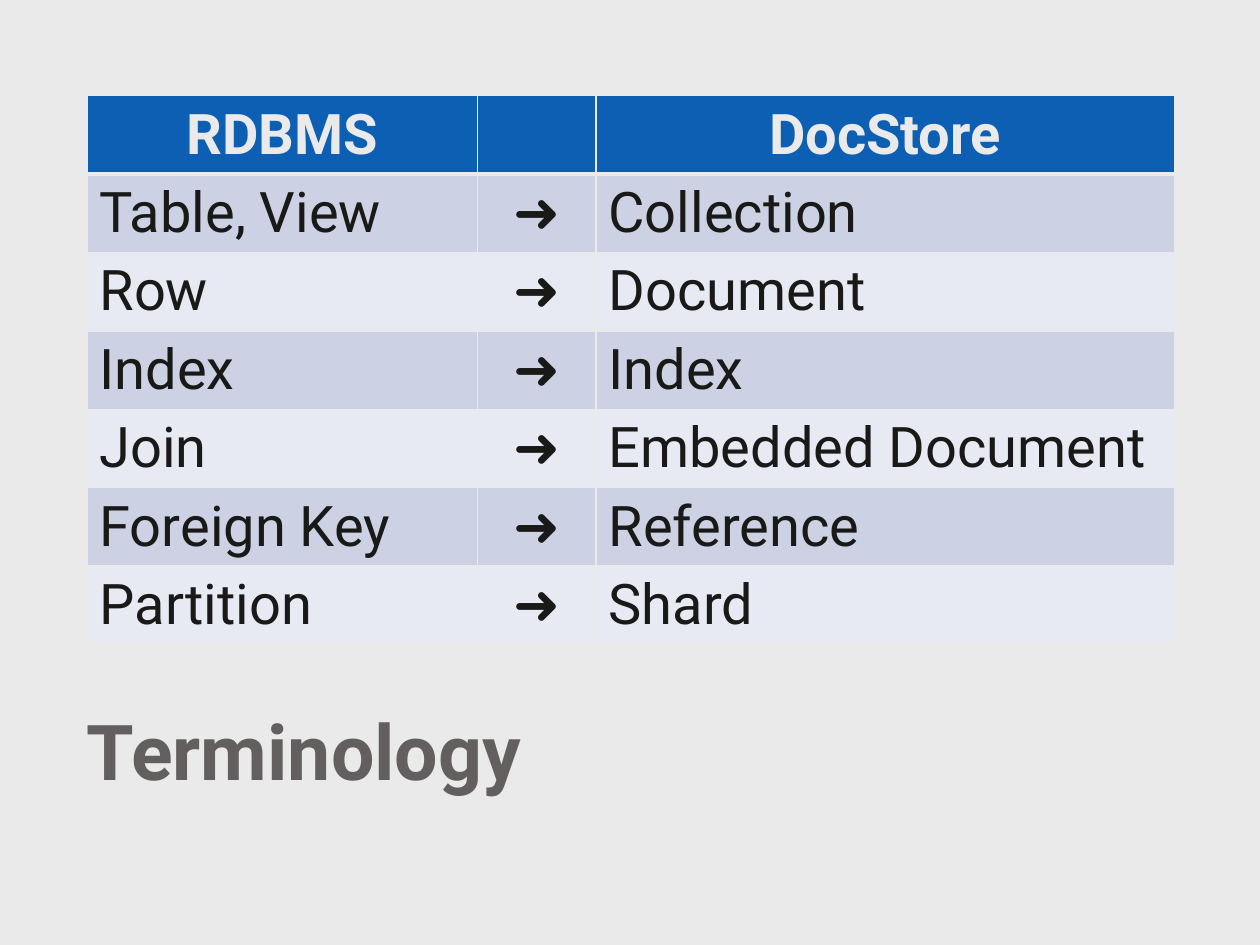
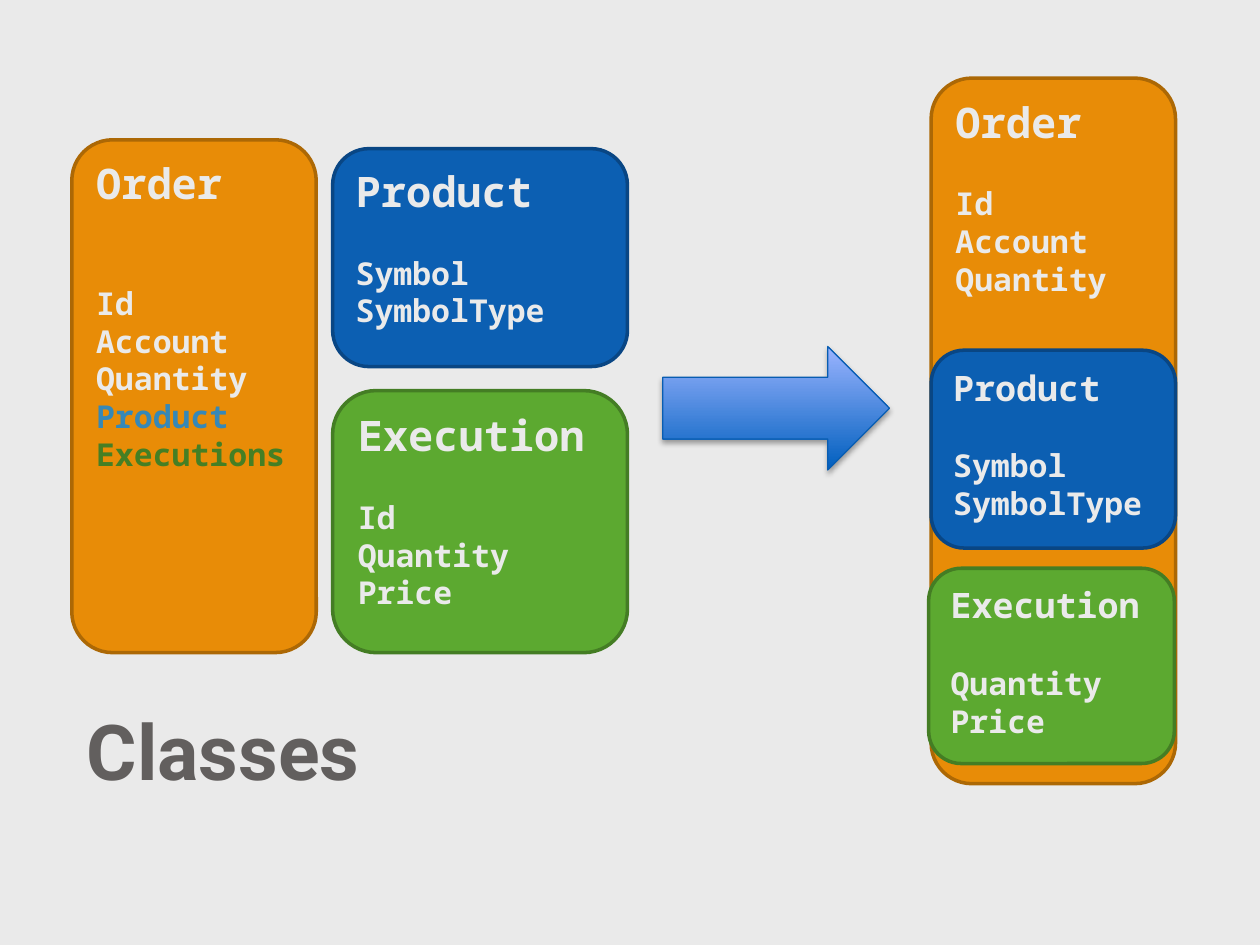
"""Build the terminology table and the class-embedding slide."""
from dataclasses import dataclass, field
from typing import Any

from lxml.etree import SubElement
from pptx import Presentation
from pptx.dml.color import RGBColor
from pptx.enum.shapes import MSO_SHAPE as Preset
from pptx.enum.text import MSO_ANCHOR as Anchor, MSO_AUTO_SIZE as AutoSize, PP_ALIGN as Align
from pptx.oxml.ns import qn
from pptx.util import Inches, Pt

COLOURS = {
    "paper": "EAEAEA", "title": "625F5E", "ink": "191918",
    "orange": "E88C07", "orange_edge": "AC6805",
    "blue": "0C5FB2", "blue_edge": "094684",
    "green": "5CA930", "green_edge": "447D24",
    "product_link": "3688B7", "execution_link": "457F24",
    "band_odd": "CCD2E4", "band_even": "E7EAF2",
    "arrow_low": "005FBE", "arrow_high": "9BB4FF", "arrow_edge": "085DB2",
    "shadow": "000000",
}
SANS, MONO = "Roboto", "Noto Sans Mono"
GRID_COLUMNS = 100
MONO_LINE = 21.6

TERMS = [
    ("Table, View", "Collection"),
    ("Row", "Document"),
    ("Index", "Index"),
    ("Join", "Embedded Document"),
    ("Foreign Key", "Reference"),
    ("Partition", "Shard"),
]
TABLE_ROWS = [("RDBMS", "", "DocStore")] + [(old, "➜", new) for old, new in TERMS]
TABLE_COLUMNS = (31, 9.4, 45.9)
TABLE_ROW = 6.2


@dataclass(frozen=True)
class Box:
    """A place on the slide, in grid units."""
    left: float
    top: float
    width: float
    height: float


@dataclass(frozen=True)
class ClassCard:
    """A class with its name and its fields."""
    name: str
    fields: tuple[str, ...]
    colour: str
    box: Box
    name_size: int = 24
    gap_lines: int = 1
    field_colours: dict[str, str] = field(default_factory=dict)


TITLE_BOX = Box(6.9, 55.3, 86.4, 9.3)
TABLE_BOX = Box(6.9, 7.6, sum(TABLE_COLUMNS), TABLE_ROW * len(TABLE_ROWS))
ARROW_BOX = Box(52.6, 27.5, 18, 9.8)
ORDER_FIELDS = ("Id", "Account", "Quantity")
SYMBOL_FIELDS = ("Symbol", "SymbolType")
CARDS = [
    ClassCard("Order", ORDER_FIELDS + ("Product", "Executions"), "orange",
              Box(5.7, 11.1, 19.4, 40.7), gap_lines=2,
              field_colours={"Product": "product_link", "Executions": "execution_link"}),
    ClassCard("Product", SYMBOL_FIELDS, "blue", Box(26.4, 11.8, 23.4, 17.3)),
    ClassCard("Execution", ("Id", "Quantity", "Price"), "green", Box(26.4, 31, 23.4, 20.8)),
    ClassCard("Order", ORDER_FIELDS, "orange", Box(73.9, 6.2, 19.4, 56)),
    ClassCard("Product", SYMBOL_FIELDS, "blue", Box(73.9, 27.8, 19.4, 15.7), 20),
    ClassCard("Execution", ("Quantity", "Price"), "green", Box(73.7, 45.1, 19.5, 15.5), 20),
]


def colour(name: str) -> RGBColor:
    """Look up a named colour."""
    return RGBColor.from_string(COLOURS[name])


def units(amount: float) -> int:
    """Turn grid units into a length."""
    return round(Inches(10) * amount / GRID_COLUMNS)


def place(box: Box) -> list[int]:
    """Return left, top, width and height as lengths."""
    return [units(side) for side in (box.left, box.top, box.width, box.height)]


def apply(target: Any, values: dict[str, Any]) -> None:
    """Set every named attribute of an object."""
    for name, value in values.items():
        setattr(target, name, value)


def fill_solid(fill: Any, name: str) -> None:
    """Give a fill one colour."""
    fill.solid()
    fill.fore_color.rgb = colour(name)


def write(paragraph: Any, text: str, font: str, size: int, ink: str, bold: bool = True,
          **layout: Any) -> None:
    """Write one formatted run in a paragraph."""
    apply(paragraph, layout)
    if text:
        run = paragraph.add_run()
        run.text = text
        apply(run.font, {"name": font, "size": Pt(size), "bold": bold})
        run.font.color.rgb = colour(ink)


def add_titled_slide(presentation: Any, text: str) -> Any:
    """Add a slide with the shared title style."""
    slide = presentation.slides.add_slide(presentation.slide_layouts[5])
    title = slide.shapes.title
    apply(title, dict(zip(("left", "top", "width", "height"), place(TITLE_BOX))))
    apply(title.text_frame, {
        "margin_left": 0, "margin_top": 0, "margin_right": 0, "margin_bottom": 0,
        "vertical_anchor": Anchor.MIDDLE, "word_wrap": True, "auto_size": AutoSize.NONE,
    })
    write(title.text_frame.paragraphs[0], text, SANS, 44, "title",
          alignment=Align.LEFT, line_spacing=0.9)
    return slide


def add_border(cell: Any, side: str, width: float) -> None:
    """Draw one cell edge in the paper colour."""
    properties = cell._tc.get_or_add_tcPr()
    edge = SubElement(properties, qn(f"a:ln{side}"), w=str(Pt(width)))
    solid = SubElement(edge, qn("a:solidFill"))
    SubElement(solid, qn("a:srgbClr"), val=COLOURS["paper"])


def add_terms_table(slide: Any) -> None:
    """Add the banded table of matching terms."""
    table = slide.shapes.add_table(
        len(TABLE_ROWS), len(TABLE_COLUMNS), *place(TABLE_BOX)).table
    for column, width in zip(table.columns, TABLE_COLUMNS):
        column.width = units(width)
    for row_index, texts in enumerate(TABLE_ROWS):
        table.rows[row_index].height = units(TABLE_ROW)
        is_header = row_index == 0
        band = "blue" if is_header else ("band_even", "band_odd")[row_index % 2]
        widths = {"L": 1, "R": 1, "T": 3 if row_index == 1 else 1, "B": 3 if is_header else 1}
        for column_index, text in enumerate(texts):
            cell = table.cell(row_index, column_index)
            for side, width in widths.items():
                add_border(cell, side, width)
            fill_solid(cell.fill, band)
            is_centred = is_header or column_index == 1
            write(cell.text_frame.paragraphs[0], text, SANS, 32,
                  "paper" if is_header else "ink", is_header,
                  alignment=Align.CENTER if is_centred else Align.LEFT)


def add_preset(slide: Any, preset: Any, box: Box, edge: str, width: float) -> Any:
    """Add a preset shape with an outline and no shadow."""
    shape = slide.shapes.add_shape(preset, *place(box))
    shape.shadow.inherit = False
    shape.line.color.rgb = colour(edge)
    shape.line.width = Pt(width)
    return shape


def add_card(slide: Any, card: ClassCard) -> None:
    """Add a rounded card that lists the fields of a class."""
    shape = add_preset(slide, Preset.ROUNDED_RECTANGLE, card.box, f"{card.colour}_edge", 2)
    fill_solid(shape.fill, card.colour)
    frame = shape.text_frame
    apply(frame, {"word_wrap": True, "vertical_anchor": Anchor.TOP})
    write(frame.paragraphs[0], card.name, MONO, card.name_size, "paper", alignment=Align.LEFT)
    for index, name in enumerate(card.fields):
        gap = 0 if index else MONO_LINE * card.gap_lines
        write(frame.add_paragraph(), name, MONO, 18, card.field_colours.get(name, "paper"),
              alignment=Align.LEFT, space_before=Pt(gap))


def add_arrow(slide: Any) -> None:
    """Add the shaded arrow between the two class models."""
    shape = add_preset(slide, Preset.RIGHT_ARROW, ARROW_BOX, "arrow_edge", 0.75)
    shape.fill.gradient()
    shape.fill.gradient_angle = 90
    for stop, position, name in zip(shape.fill.gradient_stops, (0, 1), ("arrow_low", "arrow_high")):
        stop.position = position
        stop.color.rgb = colour(name)
    effects = shape._element.spPr.find(qn("a:effectLst"))
    shadow = SubElement(effects, qn("a:outerShdw"), blurRad=str(Pt(3.1)), dist=str(Pt(1.8)),
                        dir="5400000", rotWithShape="0")
    tint = SubElement(shadow, qn("a:srgbClr"), val=COLOURS["shadow"])
    SubElement(tint, qn("a:alpha"), val="35000")


def main() -> None:
    """Build and save the presentation."""
    presentation = Presentation()
    apply(presentation, {"slide_width": Inches(10), "slide_height": Inches(7.5)})
    fill_solid(presentation.slide_master.background.fill, "paper")
    add_terms_table(add_titled_slide(presentation, "Terminology"))
    classes = add_titled_slide(presentation, "Classes")
    for card in CARDS:
        add_card(classes, card)
    add_arrow(classes)
    presentation.save("out.pptx")


if __name__ == "__main__":
    main()
